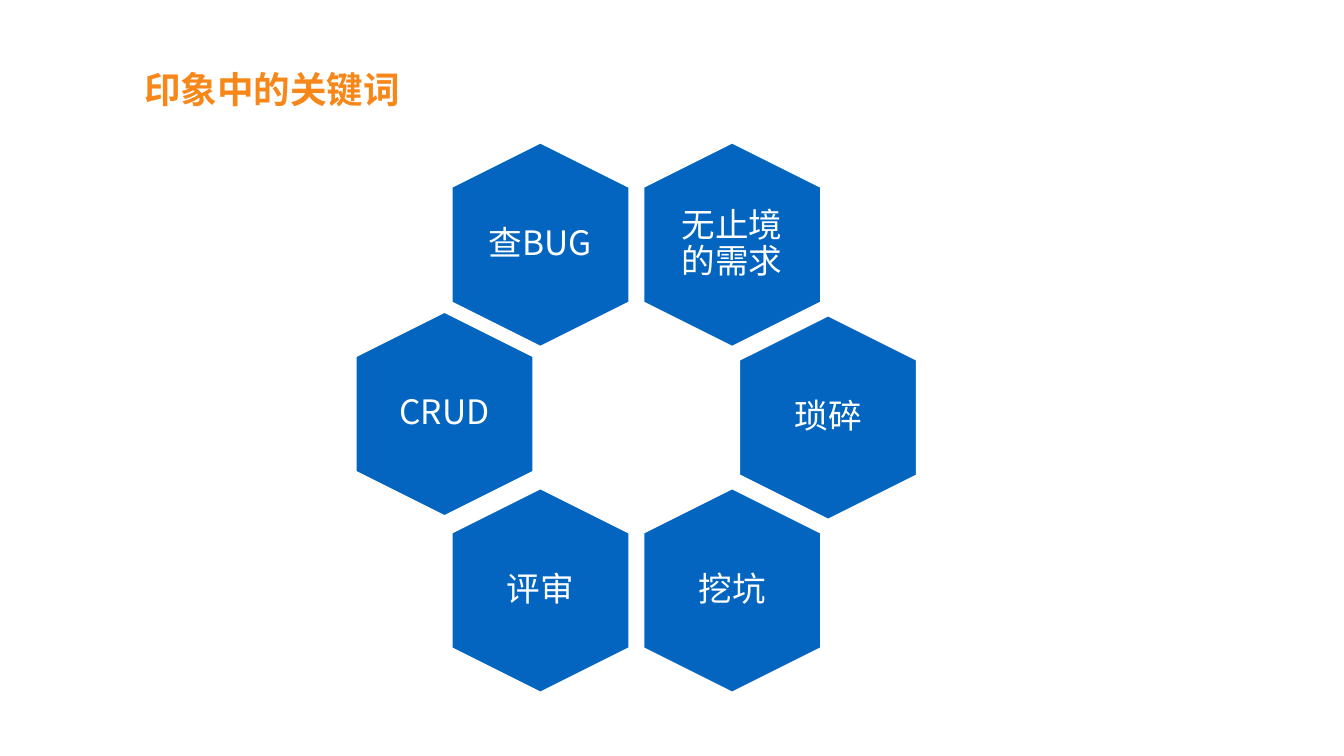
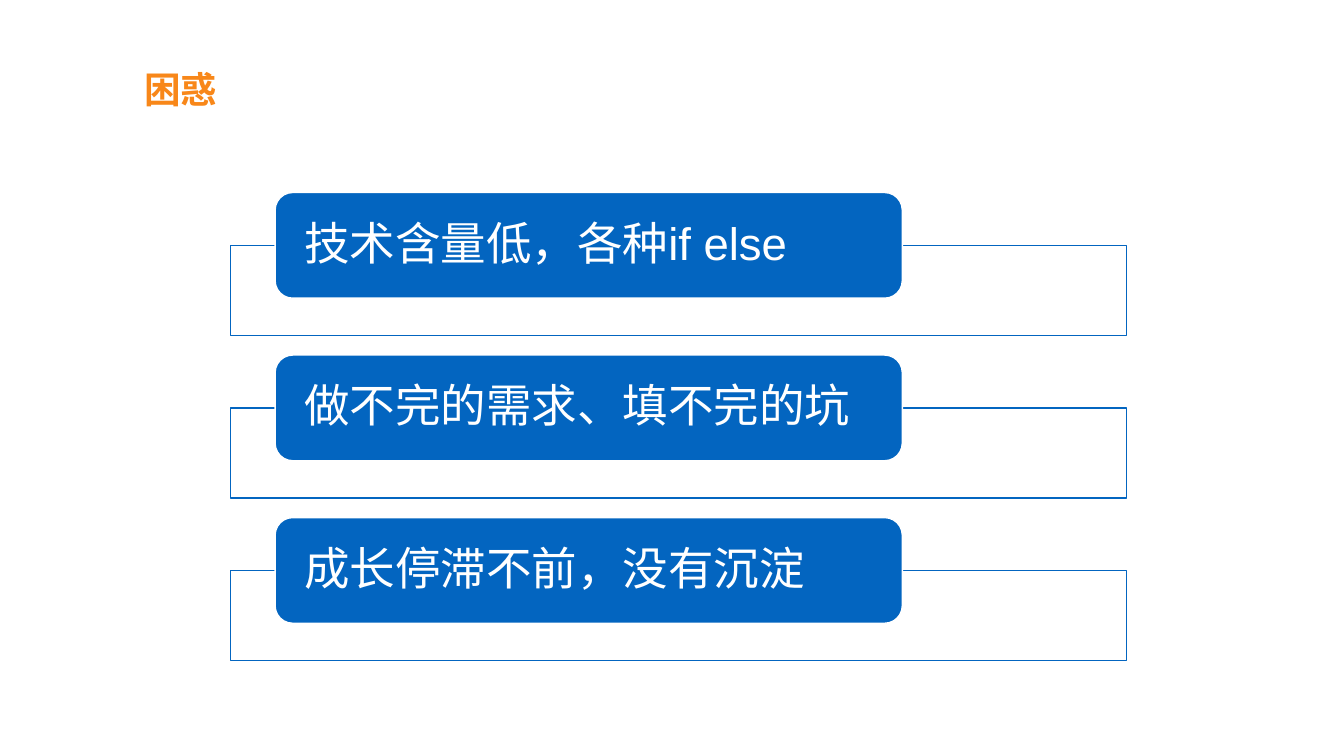
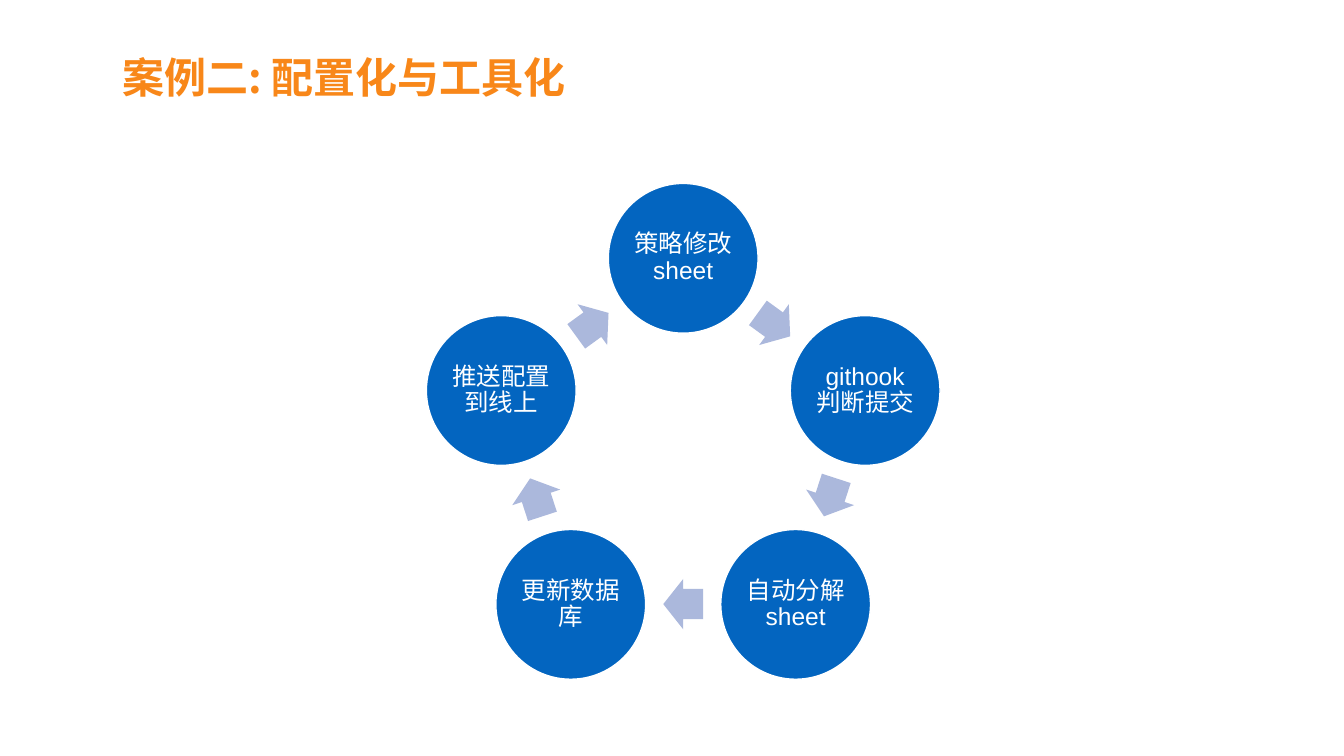
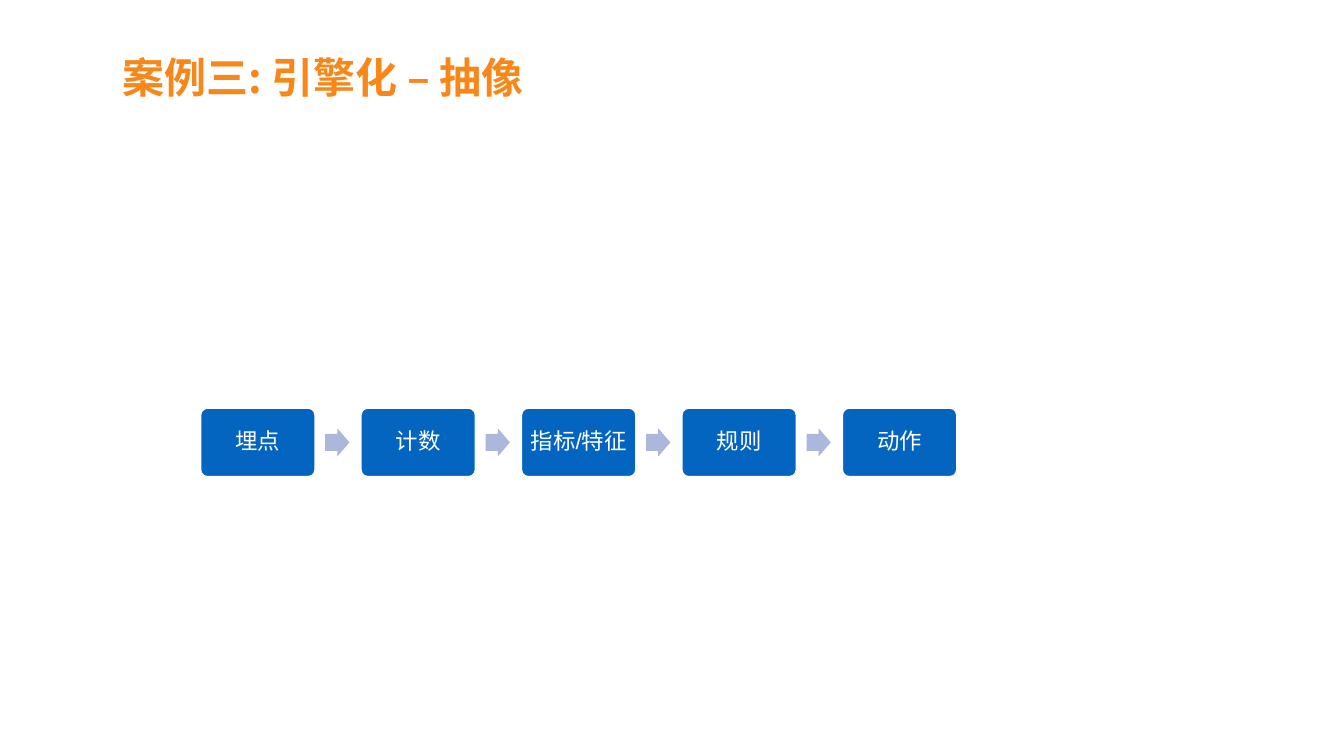
from math import cos, radians, sin

from lxml.etree import SubElement
from pptx import Presentation
from pptx.dml.color import RGBColor
from pptx.enum.shapes import MSO_SHAPE as Preset
from pptx.enum.text import MSO_ANCHOR as Anchor, PP_ALIGN as Align
from pptx.oxml.ns import qn
from pptx.util import Pt

# Shared look
BLUE, PALE, ORANGE, WHITE = "0365C0", "ABB8DC", "F88719", "FFFFFF"
CJK, LATIN, HEADING = "Noto Sans CJK SC", "Arial", "Open Sans"
LINE = 2
ARROW_HEAD = (0.6, 0.5)
SMALL_TITLE = {"frame": (203, 93, 1531, 68), "size": 52.2, "font": HEADING}
LARGE_TITLE = {"frame": (172, 41, 893, 108), "size": 60, "font": CJK}

# Content
KEYWORDS_TITLE = "印象中的关键词"
KEYWORDS = [  # word, column, centre height
    ("无止境的需求", 3, 349.6),
    ("查BUG", 1, 349.6),
    ("CRUD", 0, 591.5),
    ("琐碎", 4, 596.5),
    ("挖坑", 3, 843.5),
    ("评审", 1, 843.5),
]
DOUBTS_TITLE = "困惑"
DOUBTS = ["技术含量低，各种if else", "做不完的需求、填不完的坑", "成长停滞不前，没有沉淀"]
CYCLE_TITLE = "案例二: 配置化与工具化"
CYCLE = ["策略修改sheet", "githook判断提交", "自动分解sheet", "更新数据库", "推送配置到线上"]
ENGINE_TITLE = "案例三: 引擎化 – 抽像"
ENGINE = ["埋点", "计数", "指标/特征", "规则", "动作"]


def color(value):
    """Turn a hex string into a colour."""
    return RGBColor.from_string(value)


def centred(x, y, width, height):
    """Give the frame of the given size around a centre."""
    return x - width / 2, y - height / 2, width, height


def write(box, text, size, font, ink=WHITE, bold=False, align=Align.CENTER,
          anchor=Anchor.MIDDLE, inset=(0, 0), spacing=0.9):
    """Fill a box with one formatted paragraph; inset is (sides, top and bottom)."""
    side, edge = inset
    frame = box.text_frame
    settings = {"word_wrap": True, "vertical_anchor": anchor,
                "margin_left": Pt(side), "margin_right": Pt(side),
                "margin_top": Pt(edge), "margin_bottom": Pt(edge)}
    for name, value in settings.items():
        setattr(frame, name, value)
    para = frame.paragraphs[0]
    para.alignment, para.line_spacing = align, spacing
    span = para.add_run()
    span.text = text
    for name, value in {"size": Pt(size), "bold": bold, "name": font}.items():
        setattr(span.font, name, value)
    span.font.color.rgb = color(ink)
    SubElement(span.font._element, qn("a:ea"), typeface=CJK)


def add_text(page, frame, text, **style):
    """Add a text box."""
    box = page.shapes.add_textbox(*map(Pt, frame))
    write(box, text, **style)


def add_shape(page, preset, frame, fill=BLUE, line=WHITE, turn=0, adjust=()):
    """Add a flat preset shape, without an outline if line is None."""
    shape = page.shapes.add_shape(preset, *map(Pt, frame))
    shape.shadow.inherit = False
    shape.rotation = turn
    shape.fill.solid()
    shape.fill.fore_color.rgb = color(fill)
    if line:
        shape.line.color.rgb = color(line)
        shape.line.width = Pt(LINE)
    else:
        shape.line.fill.background()
    for index, value in enumerate(adjust):
        shape.adjustments[index] = value
    return shape


def add_arrow(page, frame, turn=0):
    """Add a pale block arrow."""
    add_shape(page, Preset.RIGHT_ARROW, frame, PALE, None, turn, ARROW_HEAD)


def add_page(deck, title, style):
    """Add a blank page with its orange title."""
    page = deck.slides.add_slide(deck.slide_layouts[6])
    add_text(page, style["frame"], title, size=style["size"], font=style["font"],
             ink=ORANGE, bold=True, align=Align.LEFT, anchor=Anchor.BOTTOM,
             inset=(2.9, 2.9), spacing=1)
    return page


def build_keywords(deck):
    """Ring of upright hexagons, each with a word."""
    page = add_page(deck, KEYWORDS_TITLE, SMALL_TITLE)
    left, step = 635, 137
    for word, column, y in KEYWORDS:
        x = left + column * step
        add_shape(page, Preset.HEXAGON, centred(x, y, 291, 253), turn=90,
                  adjust=(0.25, 1.155))
        add_text(page, centred(x, y, 174, 200), word, size=48, font=CJK)


def build_doubts(deck):
    """Blue bars, each on an outlined panel."""
    page = add_page(deck, DOUBTS_TITLE, SMALL_TITLE)
    top, pitch = 275, 232.2
    for row, text in enumerate(DOUBTS):
        y = top + row * pitch
        panel = add_shape(page, Preset.RECTANGLE, (329, y + 75.5, 1280, 129), WHITE, BLUE)
        tint = panel._element.spPr.find(qn("a:solidFill"))[0]
        SubElement(tint, qn("a:alpha"), val="90000")
        bar = add_shape(page, Preset.ROUNDED_RECTANGLE, (393, y, 896, 151))
        write(bar, text, 65, LATIN, align=Align.LEFT, inset=(34, 0))


def build_cycle(deck):
    """Circles on a ring with an arrow between neighbours."""
    page = add_page(deck, CYCLE_TITLE, LARGE_TITLE)
    ring, arrow_ring, diameter = 273.3, 220.7, 214
    step = 360 / len(CYCLE)

    def on_ring(radius, angle):
        """Give the point at a clockwise angle from the top."""
        turn = radians(angle)
        return 976 + radius * sin(turn), 642.3 - radius * cos(turn)

    for index, text in enumerate(CYCLE):
        angle = index * step
        circle = add_shape(page, Preset.OVAL,
                           centred(*on_ring(ring, angle), diameter, diameter))
        write(circle, text, 35, LATIN, inset=(3.5, 3.5))
        middle = angle + step / 2
        add_arrow(page, centred(*on_ring(arrow_ring, middle), 57, 72), middle)


def build_engine(deck):
    """Row of steps joined by arrows."""
    page = add_page(deck, ENGINE_TITLE, LARGE_TITLE)
    left, pitch, middle = 368.3, 229.2, 632
    for index, text in enumerate(ENGINE):
        x = left + index * pitch
        if index:
            add_arrow(page, centred(x - pitch / 2 - 1, middle, 34.6, 40.4))
        step = add_shape(page, Preset.ROUNDED_RECTANGLE,
                         centred(x, middle, 163.4, 97.9), adjust=(0.1,))
        write(step, text, 32, LATIN, inset=(9.4, 9.4))


deck = Presentation()
deck.slide_width, deck.slide_height = Pt(1920), Pt(1080)
for build in (build_keywords, build_doubts, build_cycle, build_engine):
    build(deck)
deck.save("out.pptx")
